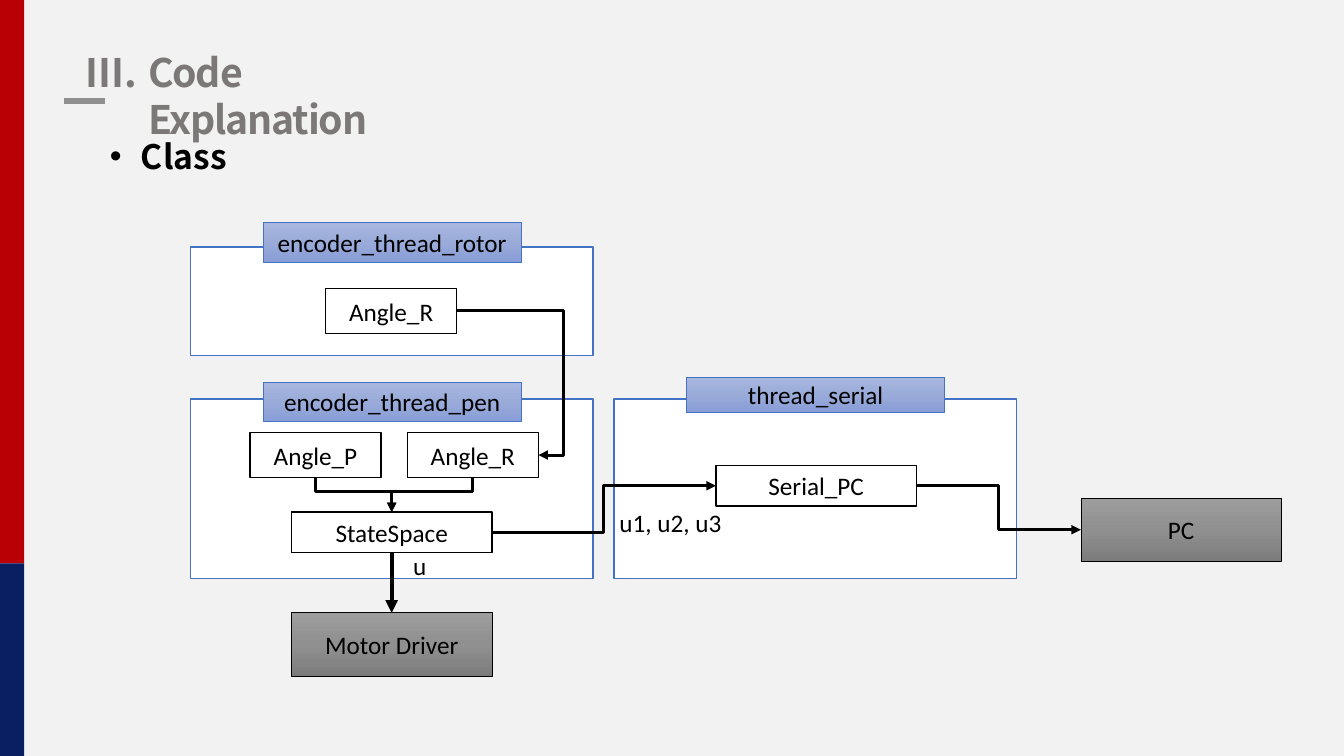
from collections import namedtuple
from copy import deepcopy

from lxml.etree import SubElement
from pptx import Presentation
from pptx.dml.color import RGBColor
from pptx.enum.shapes import MSO_CONNECTOR as LINK, MSO_SHAPE as SHAPE
from pptx.enum.text import MSO_ANCHOR as ANCHOR, MSO_AUTO_SIZE as FIT, PP_ALIGN as ALIGN
from pptx.oxml.ns import qn
from pptx.util import Inches, Pt

Box = namedtuple("Box", "left top width height")

BLUE, BLACK, WHITE = "4472C4", "000000", "FFFFFF"
TAG_BLUE = ["A8B7DF", "9AABD9", "889ED7"]
DEVICE_GRAY = ["9D9D9D", "909090", "7C7C7C"]
LABEL = {"name": "Calibri", "size": Pt(18), "color": BLACK}
HEADING = {"name": "Noto Sans CJK KR", "bold": True}


def rgb(color):
    return RGBColor.from_string(color)


def inches(box):
    return [Inches(length) for length in box]


def inside(box, left, top, width, height):
    return Box(box.left + left, box.top + top, width, height)


def side(box, name):
    """Middle point of one side of a box."""
    x, y = {"left": (0, 0.5), "right": (1, 0.5), "top": (0.5, 0), "bottom": (0.5, 1)}[name]
    return box.left + x * box.width, box.top + y * box.height


def write(frame, text, style, align=ALIGN.LEFT):
    paragraph = frame.paragraphs[0]
    paragraph.alignment = align
    run = paragraph.add_run()
    run.text = text
    for key, value in style.items():
        if key == "color":
            run.font.color.rgb = rgb(value)
        else:
            setattr(run.font, key, value)
    return paragraph, run


def paint(fill, color):
    """Solid fill for one colour, vertical gradient for three."""
    if isinstance(color, str):
        fill.solid()
        fill.fore_color.rgb = rgb(color)
        return
    fill.gradient()
    fill.gradient_angle = 270
    stops = fill._fill._gradFill.find(qn("a:gsLst"))
    stops.insert(1, deepcopy(stops[0]))
    for stop, position, shade in zip(fill.gradient_stops, (0, 0.5, 1), color):
        stop.position = position
        stop.color.rgb = rgb(shade)


def block(slide, box, fill, line=None, weight=1, text=None):
    shape = slide.shapes.add_shape(SHAPE.RECTANGLE, *inches(box))
    shape.shadow.inherit = False
    paint(shape.fill, fill)
    if line:
        shape.line.color.rgb = rgb(line)
        shape.line.width = Pt(weight)
    else:
        shape.line.fill.background()
    if text:
        shape.text_frame.vertical_anchor = ANCHOR.MIDDLE
        write(shape.text_frame, text, LABEL, ALIGN.CENTER)
    return shape


def text_box(slide, box, text, style, align=ALIGN.LEFT):
    frame = slide.shapes.add_textbox(*inches(box)).text_frame
    frame.word_wrap = True
    frame.auto_size = FIT.SHAPE_TO_FIT_TEXT
    return write(frame, text, style, align)


def connector(slide, kind, start, end, weight=2.25, color=BLACK, arrow=True):
    link = slide.shapes.add_connector(kind, *inches((*start, *end)))
    link.line.color.rgb = rgb(color)
    link.line.width = Pt(weight)
    if arrow:
        SubElement(link.line._get_or_add_ln(), qn("a:tailEnd"), type="triangle")
    SubElement(link._element.spPr, qn("a:effectLst"))
    return link


def bend(link, ratio):
    guides = link._element.spPr.find(qn("a:prstGeom")).get_or_add_avLst()
    SubElement(guides, qn("a:gd"), name="adj1", fmla=f"val {round(ratio * 100000)}")


def elbow_across(slide, start, end, ratio=0.5):
    bend(connector(slide, LINK.ELBOW, start, end), ratio)


def elbow_down(slide, start, end, ratio):
    """Elbow that leaves and arrives vertically: a turned horizontal one."""
    middle_x, middle_y = (start[0] + end[0]) / 2, (start[1] + end[1]) / 2
    half_w, half_h = (end[1] - start[1]) / 2, abs(end[0] - start[0]) / 2
    rightward = end[0] > start[0]
    if rightward:
        half_w = -half_w
    link = connector(slide, LINK.ELBOW, (middle_x - half_w, middle_y - half_h),
                     (middle_x + half_w, middle_y + half_h))
    link._element.spPr.find(qn("a:xfrm")).set("rot", str((270 if rightward else 90) * 60000))
    bend(link, ratio)


def hang(paragraph, indent, bullet, **attributes):
    properties = paragraph._p.get_or_add_pPr()
    properties.set("marL", str(Inches(indent)))
    properties.set("indent", str(-Inches(indent)))
    if bullet == "buChar":
        SubElement(properties, qn("a:buFont"), typeface="Arial")
    SubElement(properties, qn(f"a:{bullet}"), **attributes)


def side_band(slide, box, split):
    block(slide, Box(box.left, box.top, box.width, split), "B90005")
    block(slide, inside(box, 0, split, box.width, box.height - split), "0A1F62")


def header(slide, box):
    # Accent dash, numbered title, bulleted subject
    dash_y = box.top + 0.57
    connector(slide, LINK.STRAIGHT, (box.left, dash_y), (box.left + 0.41, dash_y),
              4.5, "8F8F8F", arrow=False)
    title, run = text_box(slide, inside(box, 0.12, 0, 3.94, 0.57), "Code Explanation",
                          {**HEADING, "size": Pt(28), "color": "7C7877"})
    run.font._element.set("spc", "-80")
    hang(title, 0.62, "buAutoNum", type="romanUcPeriod", startAt="3")
    subject, _ = text_box(slide, inside(box, 0.36, 0.47, 10.95, 0.78), "Class",
                          {**HEADING, "size": Pt(24), "color": BLACK})
    hang(subject, 0.31, "buChar", char="•")
    subject.line_spacing = 2.0


def thread_panel(slide, box, name, rise, tag_height=0.39):
    block(slide, box, WHITE, BLUE)
    block(slide, inside(box, 0.72, -rise, 2.56, tag_height), TAG_BLUE, BLUE, 0.5, name)


def class_diagram(slide, box):
    # Threads
    rotor = inside(box, 0, 0, 3.99, 1.08)
    pen = inside(box, 0, 1.51, 3.99, 1.78)
    serial = inside(box, 4.2, 1.51, 3.99, 1.78)
    thread_panel(slide, pen, "encoder_thread_pen", 0.17)
    thread_panel(slide, serial, "thread_serial", 0.22, 0.35)
    thread_panel(slide, rotor, "encoder_thread_rotor", 0.24)

    # Values and classes
    rotor_angle = inside(rotor, 1.34, 0.41, 1.3, 0.45)
    pen_angle = inside(pen, 0.59, 0.33, 1.3, 0.45)
    shared_angle = inside(pen, 2.15, 0.33, 1.3, 0.45)
    state_space = inside(pen, 1, 1.12, 1.99, 0.4)
    serial_pc = inside(serial, 1.01, 0.66, 1.99, 0.4)
    for node, name in ((rotor_angle, "Angle_R"), (pen_angle, "Angle_P"),
                       (shared_angle, "Angle_R"), (serial_pc, "Serial_PC")):
        block(slide, node, WHITE, BLACK, 1, name)
    state_block = block(slide, state_space, WHITE, BLACK, 1, "StateSpace")

    # Devices
    motor = inside(box, 1, 3.63, 1.99, 0.63)
    pc = inside(box, 8.83, 2.49, 1.99, 0.63)
    motor_block = block(slide, motor, DEVICE_GRAY, BLACK, 0.5, "Motor Driver")
    block(slide, pc, DEVICE_GRAY, BLACK, 0.5, "PC")

    # Data flow
    drive = connector(slide, LINK.STRAIGHT, side(state_space, "bottom"), side(motor, "top"), 3)
    drive.begin_connect(state_block, 2)
    drive.end_connect(motor_block, 0)
    elbow_across(slide, side(rotor_angle, "right"), side(shared_angle, "right"), 1.31)
    for angle in (shared_angle, pen_angle):
        elbow_down(slide, side(angle, "bottom"), side(state_space, "top"), 0.4)
    elbow_across(slide, side(state_space, "right"), side(serial_pc, "left"))
    elbow_across(slide, side(serial_pc, "right"), side(pc, "left"))

    # Signal names
    text_box(slide, inside(box, 2.11, 2.96, 1.07, 0.4), "u", LABEL)
    text_box(slide, inside(box, 4.04, 2.53, 1.44, 0.4), "u1, u2, u3", LABEL, ALIGN.CENTER)


def main():
    deck = Presentation()
    deck.slide_width, deck.slide_height = Inches(13.33), Inches(7.5)
    slide = deck.slides.add_slide(deck.slide_layouts[6])
    paint(slide.background.fill, "F2F2F2")
    side_band(slide, Box(0, 0, 0.24, 7.5), 5.59)
    header(slide, Box(0.63, 0.43, 11.31, 1.25))
    class_diagram(slide, Box(1.89, 2.45, 10.82, 4.26))
    deck.save("out.pptx")


if __name__ == "__main__":
    main()
